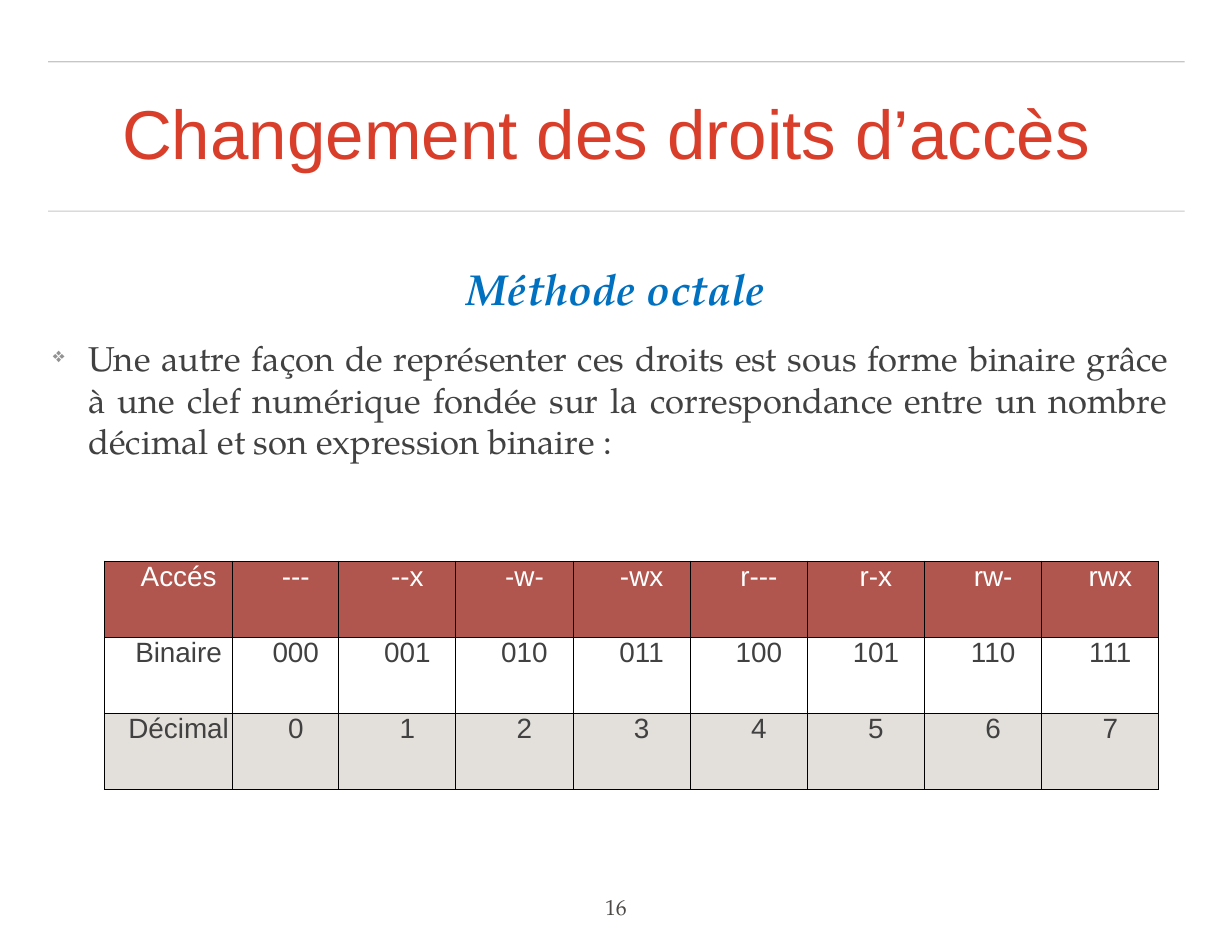
from lxml.etree import SubElement
from pptx import Presentation
from pptx.dml.color import RGBColor
from pptx.enum.shapes import MSO_CONNECTOR
from pptx.enum.text import MSO_ANCHOR, MSO_AUTO_SIZE, PP_ALIGN
from pptx.oxml.ns import qn
from pptx.util import Inches, Pt

COLORS = {"title": "D93E2B", "subtitle": "0070C0", "body": "414141", "bullet": "929292",
          "number": "4C4946", "rule": "444444", "header": "B0564E", "white": "FFFFFF",
          "band": "C9C3BA", "border": "000000"}
SERIF = "TeX Gyre Pagella"
TITLE = {"text": "Changement des droits d’accès ", "name": "Arial", "size": 62,
         "color": "title", "line_spacing": 0.9, "space_before": Pt(16.2)}
SUBTITLE = {"text": "Méthode octale", "name": SERIF, "size": 38.9, "color": "subtitle",
            "bold": True, "italic": True, "space_before": Pt(20.5)}
BODY = {"text": "Une autre façon de représenter ces droits est sous forme binaire grâce  à "
                "une clef numérique fondée sur la correspondance entre un nombre  "
                "décimal et son expression binaire :",
        "name": SERIF, "size": 31, "color": "body", "alignment": PP_ALIGN.JUSTIFY,
        "space_before": Pt(20.5), "indent": (0.44, -0.44), "bullet": "❖"}
NUMBER = {"text": "16", "name": SERIF, "size": 19.4, "color": "number"}
TEXT_BOXES = [
    ((0.6, 0.97, 14.15, 1.48), [TITLE], {"vertical_anchor": MSO_ANCHOR.MIDDLE, "word_wrap": True}),
    ((0.6, 3.21, 14.15, 7.2), [SUBTITLE, BODY], {"word_wrap": True}),
    ((7.48, 11.08, 0.39, 0.44), [NUMBER],
     {"word_wrap": False, "auto_size": MSO_AUTO_SIZE.SHAPE_TO_FIT_TEXT}),
]
RULE_LEFT, RULE_RIGHT, RULE_TOPS = 0.6, 14.76, (2.63, 0.77)
RIGHTS = ["---", "--x", "-w-", "-wx", "r---", "r-x", "rw-", "rwx"]
ROWS = [
    (["Accés", *RIGHTS], "white", "header", 100),
    (["Binaire", *(f"{value:03b}" for value in range(8))], "body", None, 100),
    (["Décimal", *(str(value) for value in range(8))], "body", "band", 50),
]
TABLE_LEFT, TABLE_TOP, ROW_HEIGHT = 1.3, 6.99, 0.95
COLUMN_WIDTHS = [1.6, 1.32] + [1.46] * 7
MARGINS = ("margin_left", "margin_top", "margin_right", "margin_bottom")


def apply(target, values):
    """Set each attribute of the target from a dict."""
    for name, value in values.items():
        setattr(target, name, value)


def color_of(name):
    """Return the named colour."""
    return RGBColor.from_string(COLORS[name])


def set_opacity(element, percent):
    """Set the opacity of the first colour inside an element."""
    color = next(element.iter(qn("a:srgbClr")))
    SubElement(color, qn("a:alpha"), val=str(percent * 1000))


def write_paragraph(paragraph, item):
    """Write one formatted paragraph."""
    paragraph.alignment = item.get("alignment", PP_ALIGN.CENTER)
    apply(paragraph, {key: item[key] for key in ("line_spacing", "space_before") if key in item})
    run = paragraph.add_run()
    run.text = item["text"]
    apply(run.font, {"name": item["name"], "size": Pt(item["size"]),
                     "bold": item.get("bold", False), "italic": item.get("italic", False)})
    run.font.color.rgb = color_of(item["color"])
    properties = paragraph._p.get_or_add_pPr()
    if "indent" in item:
        for name, length in zip(("marL", "indent"), item["indent"]):
            properties.set(name, str(Inches(length)))
    if "bullet" in item:
        bullet_color = SubElement(properties, qn("a:buClr"))
        SubElement(bullet_color, qn("a:srgbClr"), val=COLORS["bullet"])
        SubElement(properties, qn("a:buSzPct"), val="60000")
        SubElement(properties, qn("a:buChar"), char=item["bullet"])


def add_rule(slide, top):
    """Add a pale horizontal rule."""
    rule = slide.shapes.add_connector(MSO_CONNECTOR.STRAIGHT, Inches(RULE_LEFT), Inches(top),
                                      Inches(RULE_RIGHT), Inches(top))
    rule.line.width = Pt(1)
    rule.line.color.rgb = color_of("rule")
    set_opacity(rule.line._ln, 30)
    SubElement(rule._element.spPr, qn("a:effectLst"))


def add_text(slide, box, items, frame_format):
    """Add a text box with its paragraphs."""
    frame = slide.shapes.add_textbox(*map(Inches, box)).text_frame
    apply(frame, dict.fromkeys(MARGINS, Inches(0.06)) | frame_format)
    for index, item in enumerate(items):
        write_paragraph(frame.add_paragraph() if index else frame.paragraphs[0], item)


def format_cell(cell, text, color, fill, opacity):
    """Write, outline and fill one table cell."""
    apply(cell, dict.fromkeys(MARGINS, 0))
    write_paragraph(cell.text_frame.paragraphs[0],
                    {"text": text, "name": "Arial", "size": 25, "color": color,
                     "indent": (0, 0.25)})
    properties = cell._tc.get_or_add_tcPr()
    for side in ("lnL", "lnR", "lnT", "lnB"):
        border = SubElement(properties, qn(f"a:{side}"), w=str(Pt(1)))
        border_fill = SubElement(border, qn("a:solidFill"))
        SubElement(border_fill, qn("a:srgbClr"), val=COLORS["border"])
    if fill is None:
        cell.fill.background()
        return
    cell.fill.solid()
    cell.fill.fore_color.rgb = color_of(fill)
    if opacity < 100:
        set_opacity(properties.find(qn("a:solidFill")), opacity)


def add_rights_table(slide):
    """Add the table of access rights."""
    table = slide.shapes.add_table(
        len(ROWS), len(COLUMN_WIDTHS), Inches(TABLE_LEFT), Inches(TABLE_TOP),
        Inches(sum(COLUMN_WIDTHS)), Inches(ROW_HEIGHT * len(ROWS))).table
    apply(table, {"first_row": False, "horz_banding": False})
    for column, width in zip(table.columns, COLUMN_WIDTHS):
        column.width = Inches(width)
    for row, (texts, color, fill, opacity) in zip(table.rows, ROWS):
        row.height = Inches(ROW_HEIGHT)
        for cell, text in zip(row.cells, texts):
            format_cell(cell, text, color, fill, opacity)


def main():
    """Build and save the slide."""
    presentation = Presentation()
    apply(presentation, {"slide_width": Inches(15.35), "slide_height": Inches(11.81)})
    slide = presentation.slides.add_slide(presentation.slide_layouts[6])
    for top in RULE_TOPS:
        add_rule(slide, top)
    for box, items, frame_format in TEXT_BOXES:
        add_text(slide, box, items, frame_format)
    add_rights_table(slide)
    presentation.save("out.pptx")


if __name__ == "__main__":
    main()
